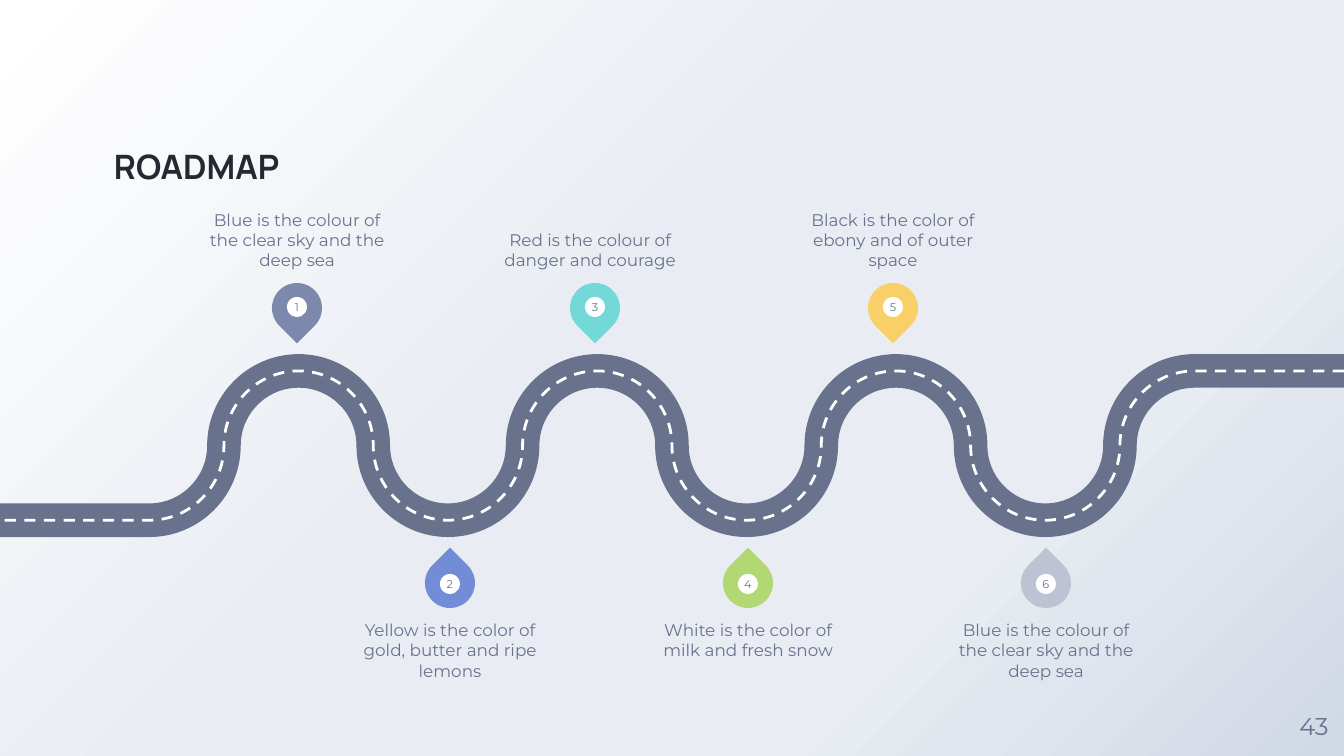
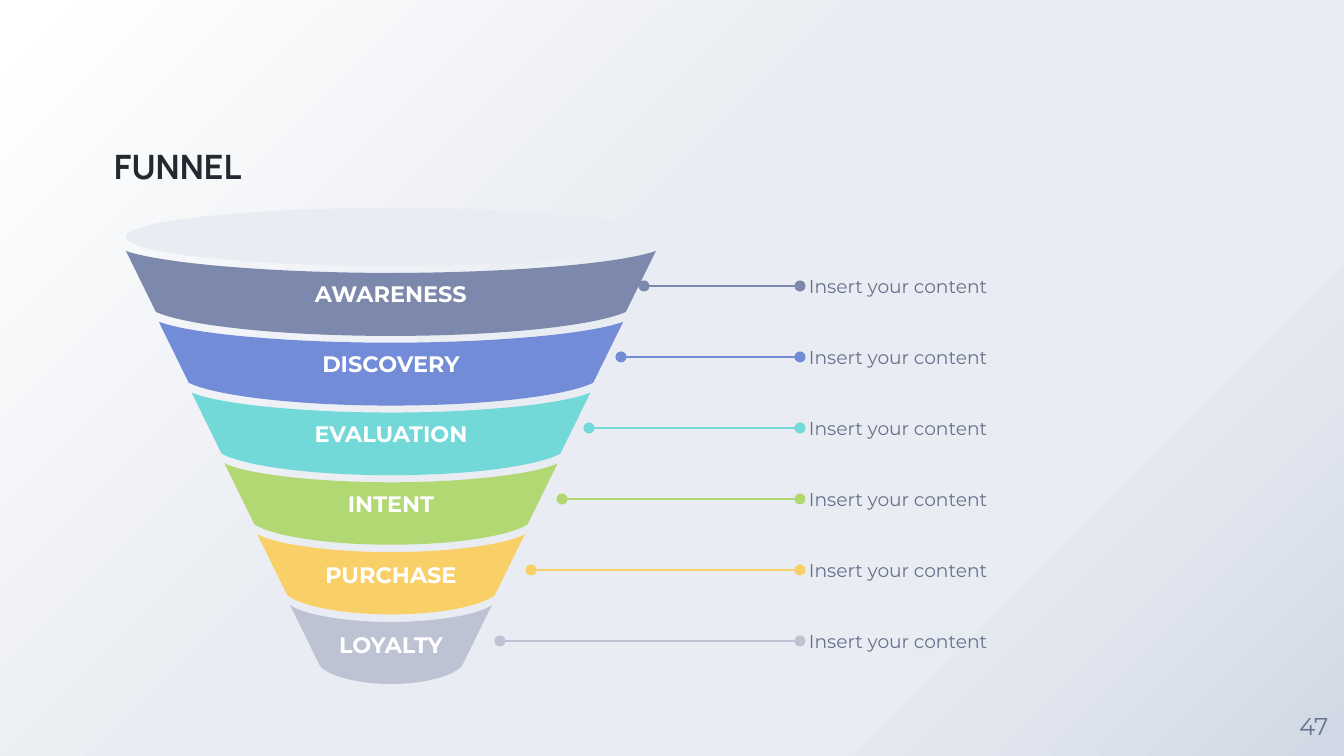
from itertools import chain

from lxml import etree
from pptx import Presentation
from pptx import util as u
from pptx.dml.color import RGBColor
from pptx.enum import dml, shapes, text
from pptx.oxml.ns import qn

WIDTH, HEIGHT = 1344, 756
SCALE = 914400 / 134.4

COLORS = {
    "ink": "252831", "muted": "68728D", "white": "FFFFFF", "mist": "E9EDF3",
    "haze": "D0D8E5", "slate": "7D89AC", "blue": "728CD8", "teal": "72D8D8",
    "green": "B1D872", "yellow": "F8D067", "gray": "BDC3D3",
}
BACKDROP = [(0, "white"), (44, "mist"), (72, "mist"), (100, "haze")]
SERIES = ["slate", "blue", "teal", "green", "yellow", "gray"]

FORMATS = {
    "title": {"name": "Manrope", "size": u.Pt(18), "bold": True},
    "number": {"name": "Montserrat", "size": u.Pt(13), "bold": False},
    "badge": {"name": "Montserrat", "size": u.Pt(6), "bold": False},
    "milestone": {"name": "Montserrat", "size": u.Pt(9), "bold": False},
    "stage": {"name": "Montserrat", "size": u.Pt(12), "bold": True},
    "note": {"name": "Montserrat", "size": u.Pt(10), "bold": False},
}

MILESTONES = [
    ("Blue is the colour of the clear sky and the deep sea", 0),
    ("Yellow is the color of gold, butter and ripe lemons", 0),
    ("Red is the colour of danger and courage", -5),
    ("White is the color of milk and fresh snow", 0),
    ("Black is the color of ebony and of outer space", 0),
    ("Blue is the colour of the clear sky and the deep sea", 0),
]
SIDES = [
    {"x": 297, "pin": 308, "badge": 307, "label": 192, "turn": 135, "anchor": text.MSO_ANCHOR.BOTTOM},
    {"x": 450, "pin": 583, "badge": 584, "label": 620, "turn": 315, "anchor": text.MSO_ANCHOR.TOP},
]
PIN_PITCH, PIN_SIZE, BADGE_SIZE = 298, 50, 20
LABEL_SIZE = (190, 78)
ROAD_TOP, ROAD_TURNS = 371, 14
ROAD_UNIT = WIDTH / 18
ROAD_LINES = [
    ("muted", {"width": u.Pt(18)}),
    ("white", {"width": u.Pt(1.5), "dash_style": dml.MSO_LINE.DASH}),
]

STAGES = [
    ("AWARENESS", "Insert your content", 644),
    ("DISCOVERY", "Insert your content", 621),
    ("EVALUATION", "Insert your content", 589),
    ("INTENT", "Insert your content", 562),
    ("PURCHASE", "Insert your content", 531),
    ("LOYALTY", "Insert your content", 500),
]
FUNNEL_X = 391
FUNNEL_SPANS = {
    "edge": (251, 605), "half": (265, 101), "rim": (273, 622),
    "base": (336, 684), "leader": (286, 641),
}
SLANT, SIDE_HEIGHT = 30, 61
LEADER_END, NOTE_X = 800, 809
NOTE_SIZE = (410, 51)


def px(*lengths):
    return [round(length * SCALE) for length in lengths]


def color(name):
    return RGBColor.from_string(COLORS[name])


def assign(target, values):
    for key, value in values.items():
        setattr(target, key, value)


def write(shape, words, style, ink, align=text.PP_ALIGN.CENTER,
          anchor=text.MSO_ANCHOR.MIDDLE, margins=(0, 0)):
    side, top = px(*margins)
    frame = shape.text_frame
    assign(frame, {
        "word_wrap": True, "auto_size": text.MSO_AUTO_SIZE.NONE,
        "vertical_anchor": anchor, "margin_left": side, "margin_right": side,
        "margin_top": top, "margin_bottom": top,
    })
    line = frame.paragraphs[0]
    line.alignment = align
    run = line.add_run()
    run.text = words
    assign(run.font, FORMATS[style])
    run.font.color.rgb = color(ink)


def paint(shape, fill):
    shape.shadow.inherit = False
    shape.fill.solid()
    shape.fill.fore_color.rgb = color(fill)
    shape.line.fill.background()


def add_label(slide, box, *args, **options):
    write(slide.shapes.add_textbox(*px(*box)), *args, **options)


def add_round(parent, kind, center, size, fill):
    x, y = center
    shape = parent.shapes.add_shape(kind, *px(x - size / 2, y - size / 2, size, size))
    paint(shape, fill)
    return shape


def add_curve(slide, start, segments, close):
    builder = slide.shapes.build_freeform(*px(*start))
    builder.add_line_segments([px(*point) for point in chain(*segments)], close=close)
    shape = builder.convert_to_shape()
    shape.shadow.inherit = False
    outline = next(shape._element.iter(qn("a:path")))
    steps = iter(outline.findall(qn("a:lnTo")))
    for segment in segments:
        first, *rest = [next(steps) for _ in segment]
        if rest:
            first.tag = qn("a:cubicBezTo")
        for step in rest:
            first.append(step[0])
            outline.remove(step)
    return shape


def set_backdrop(master):
    fill = master.background.fill
    fill.gradient()
    fill.gradient_angle = 315
    stops = next(master._element.iter(qn("a:gsLst")))
    for stop in list(stops):
        stops.remove(stop)
    for position, name in BACKDROP:
        stop = etree.SubElement(stops, qn("a:gs"), pos=str(position * 1000))
        etree.SubElement(stop, qn("a:srgbClr"), val=COLORS[name])


def start_slide(deck, heading, number):
    slide = deck.slides.add_slide(deck.slide_layouts[5])
    title = slide.shapes.title
    assign(title, dict(zip(("left", "top", "width", "height"), px(114, 59, 527, 127))))
    write(title, heading, "title", "ink", text.PP_ALIGN.LEFT, text.MSO_ANCHOR.BOTTOM)
    add_label(slide, (1284, 696, 60, 60), number, "number", "muted")
    return slide


def road_point(x, y):
    return x * ROAD_UNIT, ROAD_TOP + y * ROAD_UNIT


def road_segments():
    segments = [[(16, 0)]]
    levels = [0, 1, 2, 1]
    for turn in range(ROAD_TURNS):
        x, y = 16 - turn, levels[turn % 4]
        step = levels[(turn + 1) % 4] - y
        if turn % 2:
            bends = [(x, y + 0.55 * step), (x - 0.45, y + step)]
        else:
            bends = [(x - 0.55, y), (x - 1, y + 0.45 * step)]
        segments.append(bends + [(x - 1, y + step)])
    segments.append([(0, 2)])
    return [[road_point(*point) for point in segment] for segment in segments]


def build_roadmap(deck):
    slide = start_slide(deck, "ROADMAP", "43")
    for name, values in ROAD_LINES:
        road = add_curve(slide, road_point(18, 0), road_segments(), close=False)
        road.fill.background()
        road.line.color.rgb = color(name)
        assign(road.line, values)

    for i, ((words, shift), fill) in enumerate(zip(MILESTONES, SERIES)):
        side = SIDES[i % 2]
        x = side["x"] + i // 2 * PIN_PITCH
        marker = slide.shapes.add_group_shape()
        pin = add_round(marker, shapes.MSO_SHAPE.TEAR, (x, side["pin"]), PIN_SIZE, fill)
        pin.rotation = side["turn"]
        badge = add_round(marker, shapes.MSO_SHAPE.OVAL, (x, side["badge"]), BADGE_SIZE, "white")
        write(badge, str(i + 1), "badge", "muted")
        width, height = LABEL_SIZE
        add_label(slide, (x + shift - width / 2, side["label"], width, height),
                  words, "milestone", "muted", anchor=side["anchor"])


def add_band(slide, edge, half, rim, base):
    foot, foot_y = half - SLANT, edge + SIDE_HEIGHT
    sag, drop = rim - edge, base - foot_y

    def at(offset, y):
        return FUNNEL_X + offset, y

    segments = [
        [at(-foot, foot_y)],
        [at(-0.87 * foot, foot_y + 0.57 * drop), at(-0.47 * foot, base), at(0, base)],
        [at(0.47 * foot, base), at(0.87 * foot, foot_y + 0.57 * drop), at(foot, foot_y)],
        [at(half, edge)],
        [at(0.85 * half, edge + 0.62 * sag), at(0.41 * half, rim), at(0, rim)],
        [at(-0.41 * half, rim), at(-0.85 * half, edge + 0.62 * sag), at(-half, edge)],
    ]
    return add_curve(slide, at(-half, edge), segments, close=True)


def add_leader(slide, start, y, name):
    leader = slide.shapes.add_connector(
        shapes.MSO_CONNECTOR.STRAIGHT, *px(start, y, LEADER_END, y))
    leader.line.color.rgb = color(name)
    leader.line.width = u.Pt(0.75)
    line = leader.line._get_or_add_ln()
    for end in ("a:headEnd", "a:tailEnd"):
        etree.SubElement(line, qn(end), type="oval")
    etree.SubElement(leader._element.spPr, qn("a:effectLst"))


def build_funnel(deck):
    slide = start_slide(deck, "FUNNEL", "47")
    for i, ((stage, note, start), fill) in enumerate(zip(STAGES, SERIES)):
        place = {key: first + (last - first) * i / (len(STAGES) - 1)
                 for key, (first, last) in FUNNEL_SPANS.items()}
        y = place.pop("leader")
        band = add_band(slide, **place)
        paint(band, fill)
        write(band, stage, "stage", "white", margins=(9, 5))
        add_leader(slide, start, y, fill)
        width, height = NOTE_SIZE
        add_label(slide, (NOTE_X, y - height / 2, width, height),
                  note, "note", "muted", text.PP_ALIGN.LEFT)
    mouth = slide.shapes.add_shape(shapes.MSO_SHAPE.OVAL, *px(126, 208, 530, 58))
    paint(mouth, "mist")


def main():
    deck = Presentation()
    deck.slide_width, deck.slide_height = px(WIDTH, HEIGHT)
    set_backdrop(deck.slide_master)
    build_roadmap(deck)
    build_funnel(deck)
    deck.save("out.pptx")


if __name__ == "__main__":
    main()
